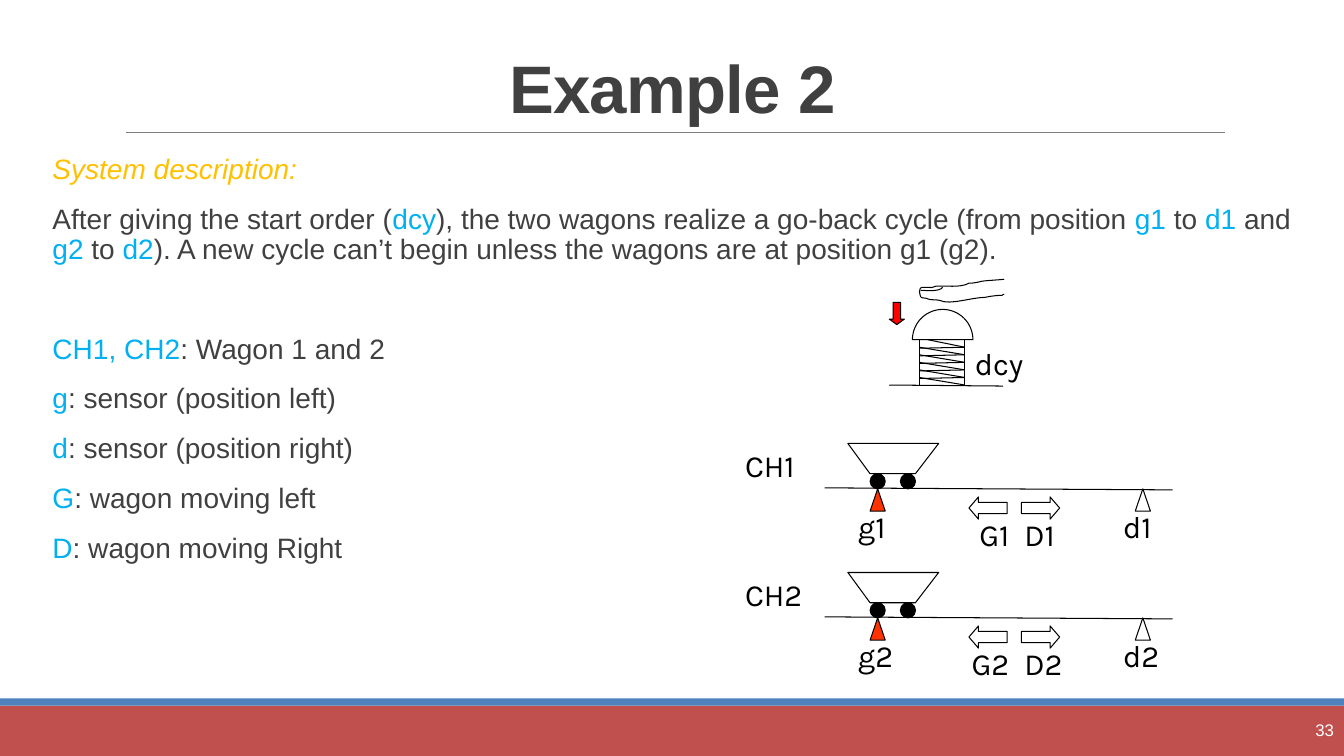
from math import cos, pi, sin

from lxml.etree import SubElement
from pptx import Presentation
from pptx.dml.color import RGBColor
from pptx.enum.shapes import MSO_CONNECTOR, MSO_SHAPE
from pptx.enum.text import MSO_ANCHOR, MSO_AUTO_SIZE, PP_ALIGN
from pptx.oxml.ns import qn
from pptx.util import Inches, Pt

BLACK = RGBColor(0x00, 0x00, 0x00)
WHITE = RGBColor(0xFF, 0xFF, 0xFF)
GRAY = RGBColor(0x80, 0x80, 0x80)
DARK = RGBColor(0x40, 0x40, 0x40)
CYAN = RGBColor(0x00, 0xB0, 0xF0)
GOLD = RGBColor(0xFF, 0xC0, 0x00)
BRICK = RGBColor(0xC0, 0x50, 0x4D)
BLUE = RGBColor(0x4F, 0x81, 0xBD)
RED = RGBColor(0xFF, 0x00, 0x00)
ORANGE = RGBColor(0xFF, 0x33, 0x00)

TITLE = "Example 2"
PAGE_NUMBER = "33"
HEADING = "System description:"
DESCRIPTION = [
    ("After giving the start order (", DARK), ("dcy", CYAN),
    ("), the two wagons realize a go-back cycle (from position ", DARK),
    ("g1", CYAN), (" to ", DARK), ("d1", CYAN), (" and ", DARK),
    ("g2", CYAN), (" to ", DARK), ("d2", CYAN),
    ("). A new cycle can’t begin unless the wagons are at position g1 (g2).", DARK),
]
LEGEND = [
    ("CH1, CH2", ": Wagon 1 and 2"),
    ("g", ": sensor (position left)"),
    ("d", ": sensor (position right)"),
    ("G", ": wagon moving left"),
    ("D", ": wagon moving Right"),
]
BUTTON_LABEL = "dcy"
WAGON_LABELS = [
    ("CH", 7.39, 0.04, 0.98, PP_ALIGN.LEFT),
    ("g", 8.51, 0.64, 0.6, PP_ALIGN.LEFT),
    ("d", 11.14, 0.64, 0.46, PP_ALIGN.LEFT),
    ("G", 9.51, 0.72, 0.5, PP_ALIGN.RIGHT),
    ("D", 10.16, 0.72, 0.5, PP_ALIGN.LEFT),
]
WAGON_TOP, WAGON_PITCH = 4.4, 1.28
SPRING_LEFT, SPRING_RIGHT, SPRING_TOP = 9.12, 9.57, 3.37
COIL_COUNT, COIL_PITCH = 6, 0.075
HAND_START = (9.96, 2.77)
HAND_CURVES = [
    ((9.88, 2.78), (9.81, 2.78), (9.74, 2.79)),
    ((9.7, 2.8), (9.65, 2.81), (9.61, 2.81)),
    ((9.52, 2.86), (9.37, 2.83), (9.28, 2.84)),
    ((9.22, 2.86), (9.26, 2.85), (9.15, 2.85)),
    ((9.12, 2.86), (9.13, 2.86), (9.12, 2.89)),
    ((9.13, 2.97), (9.14, 2.95), (9.19, 2.96)),
    ((9.23, 2.98), (9.27, 2.97), (9.32, 2.98)),
    ((9.42, 3.03), (9.64, 2.95), (9.77, 2.95)),
    ((9.82, 2.94), (9.88, 2.93), (9.94, 2.93)),
    ((9.95, 2.92), (9.95, 2.92), (9.96, 2.92)),
]
THUMB_START = (9.13, 2.88)
THUMB_CURVES = [((9.16, 2.88), (9.32, 2.9), (9.35, 2.85))]


def paint(shape, fill, line=BLACK):
    shape.shadow.inherit = False
    if fill is None:
        shape.fill.background()
    else:
        shape.fill.solid()
        shape.fill.fore_color.rgb = fill
    if line is None:
        shape.line.fill.background()
    else:
        shape.line.color.rgb = line
        shape.line.width = Pt(0.75)


def add_preset(shapes, kind, left, top, width, height, fill=None, line=BLACK, adjust=()):
    shape = shapes.add_shape(kind, Inches(left), Inches(top), Inches(width), Inches(height))
    for index, value in enumerate(adjust):
        shape.adjustments[index] = value
    paint(shape, fill, line)


def add_line(shapes, x1, y1, x2, y2, color=BLACK, width=0.75):
    line = shapes.add_connector(
        MSO_CONNECTOR.STRAIGHT, Inches(x1), Inches(y1), Inches(x2), Inches(y2))
    line.line.color.rgb = color
    line.line.width = Pt(width)
    SubElement(line._element.spPr, qn("a:effectLst"))


def add_outline(shapes, points, close):
    points = [(Inches(x), Inches(y)) for x, y in points]
    builder = shapes.build_freeform(*points[0])
    builder.add_line_segments(points[1:], close=close)
    paint(builder.convert_to_shape(), None)


def curve_points(start, curves, steps=8):
    points = [start]
    for first, second, end in curves:
        corners = (points[-1], first, second, end)
        for step in range(1, steps + 1):
            t = step / steps
            weights = ((1 - t) ** 3, 3 * t * (1 - t) ** 2, 3 * t * t * (1 - t), t ** 3)
            points.append(tuple(
                sum(w * corner[axis] for w, corner in zip(weights, corners)) for axis in (0, 1)))
    return points


def add_span(para, text, font, size, color, bold=False, italic=False):
    span = para.add_run()
    span.text = text
    span.font.name = font
    span.font.size = Pt(size)
    span.font.color.rgb = color
    span.font.bold = bold
    span.font.italic = italic
    return span


def add_label(shapes, text, left, top, width, align=PP_ALIGN.LEFT):
    box = shapes.add_textbox(Inches(left), Inches(top), Inches(width), Inches(0.36))
    frame = box.text_frame
    frame.word_wrap = True
    frame.margin_left = frame.margin_right = frame.margin_top = frame.margin_bottom = 0
    para = frame.paragraphs[0]
    para.alignment = align
    para.line_spacing = Pt(26.1)
    add_span(para, text, "Karla", 22, BLACK)


def place(shape, left, top, width, height):
    shape.left, shape.top = Inches(left), Inches(top)
    shape.width, shape.height = Inches(width), Inches(height)


def add_title(page):
    title = page.shapes.title
    place(title, 1.17, 0.17, 11, 1.14)
    title.text_frame.auto_size = MSO_AUTO_SIZE.NONE
    title.text_frame.vertical_anchor = MSO_ANCHOR.BOTTOM
    para = title.text_frame.paragraphs[0]
    para.alignment = PP_ALIGN.CENTER
    para.line_spacing = 0.85
    span = add_span(para, TITLE, "Arial", 48, DARK, bold=True)
    span.font._element.set("spc", "-50")


def add_body(page):
    body = page.placeholders[1]
    place(body, 0.42, 1.49, 12.72, 5.4)
    frame = body.text_frame
    frame.auto_size = MSO_AUTO_SIZE.NONE
    frame.vertical_anchor = MSO_ANCHOR.TOP
    frame.margin_left = frame.margin_right = 0
    legend = [[(name, CYAN), (meaning, DARK)] for name, meaning in LEGEND]
    for index, spans in enumerate([[(HEADING, GOLD)], DESCRIPTION] + legend):
        para = frame.add_paragraph() if index else frame.paragraphs[0]
        properties = para._p.get_or_add_pPr()
        properties.set("marL", str(Inches(0.1)))
        properties.set("indent", "0")
        SubElement(properties, qn("a:buNone"))
        para.line_spacing = 0.9
        para.space_before = Pt({0: 0, 2: 47.5}.get(index, 12))
        para.space_after = Pt(2)
        for text, color in spans:
            add_span(para, text, "Arial", 20, color, italic=index == 0)


def add_frame(page):
    add_preset(page.shapes, MSO_SHAPE.RECTANGLE, 0, 7, 13.33, 0.5, BRICK, None)
    add_preset(page.shapes, MSO_SHAPE.RECTANGLE, 0, 6.93, 13.33, 0.07, BLUE, None)
    add_line(page.shapes, 1.25, 1.31, 12.15, 1.31, GRAY, 0.5)
    box = page.shapes.add_textbox(Inches(11.9), Inches(7.04), Inches(1.43), Inches(0.4))
    box.text_frame.word_wrap = True
    box.text_frame.vertical_anchor = MSO_ANCHOR.MIDDLE
    para = box.text_frame.paragraphs[0]
    para.alignment = PP_ALIGN.RIGHT
    add_span(para, PAGE_NUMBER, "Arial", 12, WHITE)


def add_wagon(page, number):
    top = WAGON_TOP + (number - 1) * WAGON_PITCH
    add_line(page.shapes, 8.18, top + 0.44, 11.63, top + 0.46)
    wagon = page.shapes.add_group_shape().shapes
    add_outline(wagon, [(8.41, top), (8.63, top + 0.3), (9.08, top + 0.3), (9.31, top)], True)
    for left in (8.63, 8.93):
        add_preset(wagon, MSO_SHAPE.OVAL, left, top + 0.3, 0.15, 0.15, BLACK)
    for left, fill in ((8.63, ORANGE), (11.26, None)):
        add_preset(page.shapes, MSO_SHAPE.ISOSCELES_TRIANGLE, left, top + 0.45, 0.15, 0.22, fill)
    for kind, left in ((MSO_SHAPE.LEFT_ARROW, 9.61), (MSO_SHAPE.RIGHT_ARROW, 10.13)):
        add_preset(page.shapes, kind, left, top + 0.53, 0.38, 0.22, adjust=(0.5, 0.43))
    for name, left, drop, width, align in WAGON_LABELS:
        add_label(page.shapes, f"{name}{number}", left, top + drop, width, align)


def add_button(page):
    button = page.shapes.add_group_shape().shapes
    add_preset(button, MSO_SHAPE.RECTANGLE, SPRING_LEFT, SPRING_TOP, 0.45, 0.45)
    dome = [(9.35 - 0.3 * cos(pi * i / 40), SPRING_TOP - 0.3 * sin(pi * i / 40)) for i in range(41)]
    add_outline(button, dome, True)
    for coil in range(COIL_COUNT):
        top = SPRING_TOP + coil * COIL_PITCH
        bottom = top + COIL_PITCH
        add_line(button, SPRING_LEFT if coil else 9.2, top, SPRING_RIGHT, bottom)
        if coil < COIL_COUNT - 1:
            add_line(button, SPRING_RIGHT, bottom, SPRING_LEFT, bottom + 0.01)
    add_line(button, 8.82, 3.82, 9.95, 3.83)
    add_outline(button, curve_points(HAND_START, HAND_CURVES), False)
    add_outline(button, curve_points(THUMB_START, THUMB_CURVES), False)
    add_preset(button, MSO_SHAPE.DOWN_ARROW, 8.82, 3, 0.15, 0.22, RED, adjust=(0.5, 0.36))
    add_label(button, BUTTON_LABEL, 9.67, 3.42, 1.13)


def main():
    deck = Presentation()
    deck.slide_width, deck.slide_height = Inches(13.33), Inches(7.5)
    page = deck.slides.add_slide(deck.slide_layouts[1])
    add_title(page)
    add_body(page)
    add_frame(page)
    for number in (1, 2):
        add_wagon(page, number)
    add_button(page)
    deck.save("out.pptx")


if __name__ == "__main__":
    main()
